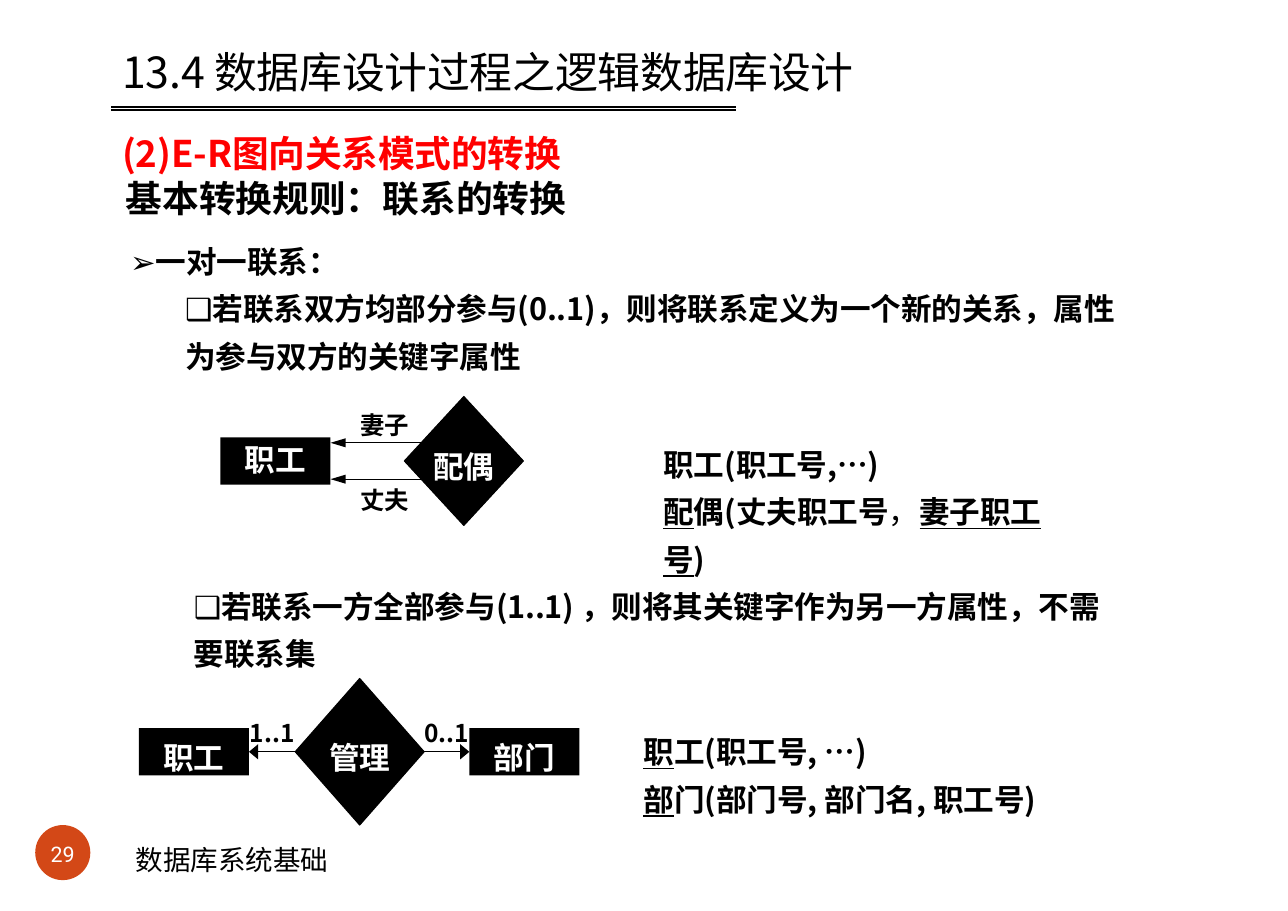
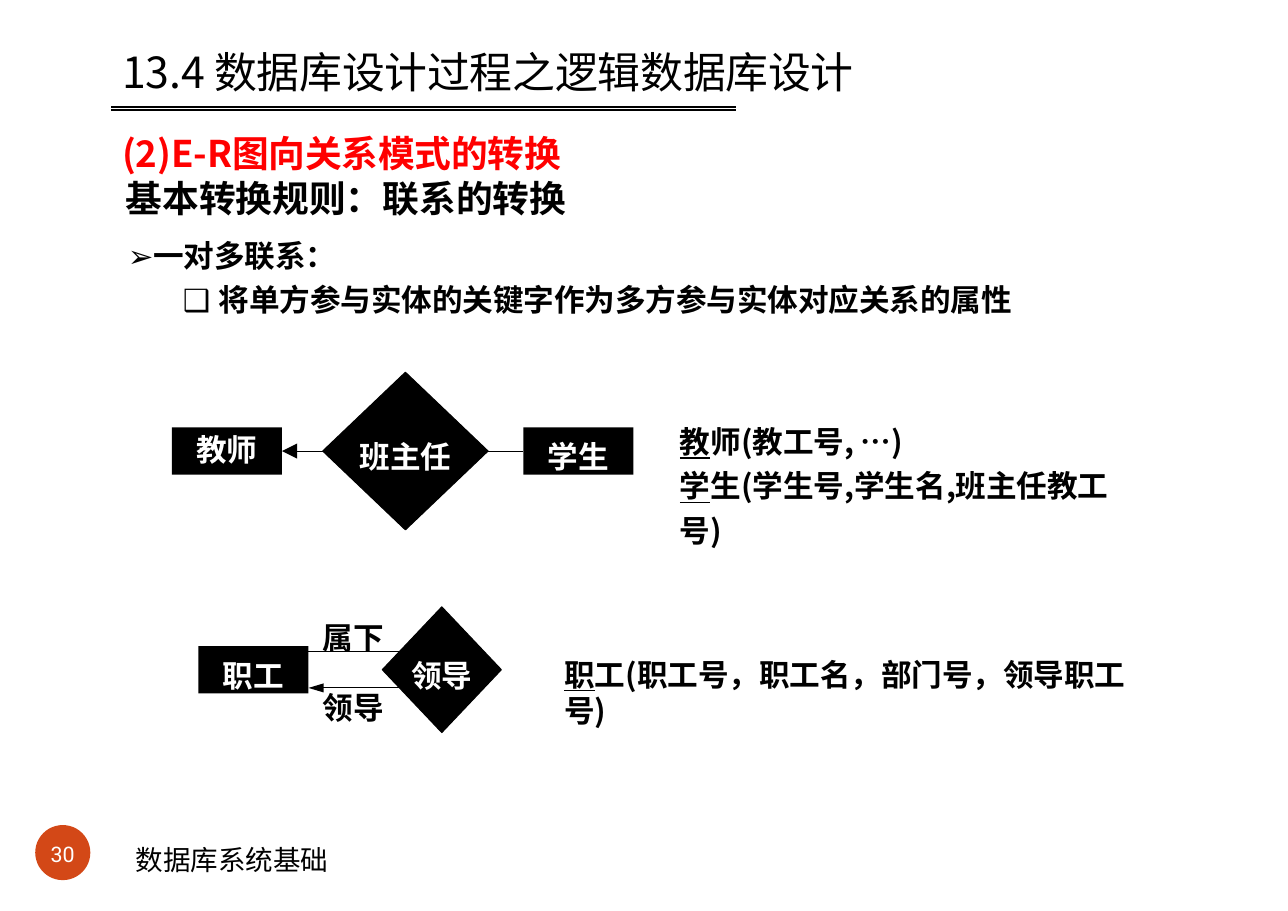
from lxml import etree
from pptx import Presentation
from pptx.dml.color import RGBColor
from pptx.enum.shapes import MSO_CONNECTOR, MSO_SHAPE
from pptx.enum.text import MSO_ANCHOR, MSO_AUTO_SIZE, PP_ALIGN
from pptx.oxml.ns import qn
from pptx.util import Inches, Pt

RECTANGLE, DIAMOND, OVAL = MSO_SHAPE.RECTANGLE, MSO_SHAPE.DIAMOND, MSO_SHAPE.OVAL
STRAIGHT = MSO_CONNECTOR.STRAIGHT
TOP, MIDDLE = MSO_ANCHOR.TOP, MSO_ANCHOR.MIDDLE
LEFT, CENTER = PP_ALIGN.LEFT, PP_ALIGN.CENTER
NO_FIT = MSO_AUTO_SIZE.NONE
LEFT_SIDE, RIGHT_SIDE = 1, 3

BLACK = RGBColor(0x00, 0x00, 0x00)
WHITE = RGBColor(0xFF, 0xFF, 0xFF)
RED = RGBColor(0xFF, 0x00, 0x00)
ORANGE = RGBColor(0xD3, 0x48, 0x17)

SLIDE_W, SLIDE_H = 11.69, 8.27
FIRST_NUMBER = 29
ENTITY_W, ENTITY_H = 1, 0.43
LINE_RISE = 0.165
LINE_RATIO = 1.34

BODY = dict(name="Noto Sans CJK SC", size=20, bold=True, color=BLACK, spc=-10)
KEY = dict(underline=True)
LIGHT = dict(bold=False)
MARK = dict(name="Arial", bold=False)
HEADING = dict(size=24, spc=0)
TITLE = dict(name="Noto Sans CJK TC", size=28, bold=False)
SUBTITLE = dict(name="Noto Sans CJK TC", size=24, color=RED)
FOOTER = dict(name="Calibri", size=18, bold=False, spc=0)
BADGE = dict(name="Roboto", size=14, bold=False, color=WHITE, spc=0)
NODE = dict(color=WHITE)


def add_span(para, text, style):
    values = {**BODY, **style}
    span = para.add_run()
    span.text = text
    span.font.color.rgb = values.pop("color")
    values["size"] = Pt(values["size"])
    properties = span._r.get_or_add_rPr()
    properties.set("spc", str(values.pop("spc")))
    for name, value in values.items():
        setattr(span.font, name, value)
    for tag in ("a:ea", "a:sym"):
        etree.SubElement(properties, qn(tag)).set("typeface", values["name"])


def line(*spans, pitch=None, before=0, indent=0):
    pairs = [(span, {}) if isinstance(span, str) else span for span in spans]
    if pitch is None:
        size = max({**BODY, **style}["size"] for text, style in pairs)
        pitch = round(size * LINE_RATIO)
    return pairs, pitch, before, indent


def write(shape, lines, align=LEFT, **options):
    frame = shape.text_frame
    settings = dict(margin_left=0, margin_right=0, margin_top=0, margin_bottom=0,
                    word_wrap=True, auto_size=NO_FIT, vertical_anchor=TOP)
    for name, value in {**settings, **options}.items():
        setattr(frame, name, value)
    for index, (spans, pitch, before, indent) in enumerate(lines):
        para = frame.add_paragraph() if index else frame.paragraphs[0]
        spacing = dict(alignment=align, line_spacing=Pt(pitch),
                       space_before=Pt(before), space_after=Pt(0))
        for name, value in spacing.items():
            setattr(para, name, value)
        properties = para._p.get_or_add_pPr()
        properties.set("marL", str(Inches(indent)))
        properties.set("indent", "0")
        etree.SubElement(properties, qn("a:buNone"))
        for text, style in spans:
            add_span(para, text, style)


def place(shape, box):
    for name, value in zip(("left", "top", "width", "height"), box):
        setattr(shape, name, Inches(value))


def add_text(page, box, lines, **options):
    shape = page.shapes.add_textbox(*map(Inches, box))
    write(shape, lines, **options)


def add_label(page, x, y, text, size):
    box = (x - 0.4, y - 0.2, 0.8, 0.4)
    add_text(page, box, [line((text, dict(size=size, spc=0)))], align=CENTER,
             vertical_anchor=MIDDLE, word_wrap=False)


def add_node(page, kind, box, text, style=NODE, fill=BLACK, drop=0.03):
    node = page.shapes.add_shape(kind, *map(Inches, box))
    node.shadow.inherit = False
    node.fill.solid()
    node.fill.fore_color.rgb = fill
    if kind == DIAMOND:
        node.line.color.rgb = BLACK
        node.line.width = Pt(0.75)
    else:
        node.line.fill.background()
    write(node, [line((text, style))], align=CENTER, vertical_anchor=MIDDLE,
          word_wrap=False, margin_top=Inches(max(2 * drop, 0)),
          margin_bottom=Inches(max(-2 * drop, 0)))
    return node


def add_line(page, start, end, width=0.75, head=None):
    link = page.shapes.add_connector(STRAIGHT, *map(Inches, start + end))
    link.line.color.rgb = BLACK
    link.line.width = Pt(width)
    if head:
        tip = etree.SubElement(link.line._get_or_add_ln(), qn("a:tailEnd"))
        for name, value in zip(("type", "w", "len"), ("triangle",) + head):
            tip.set(name, value)
    etree.SubElement(link._element.spPr, qn("a:effectLst"))
    return link


def entity_box(left, middle):
    return left, middle - ENTITY_H / 2, ENTITY_W, ENTITY_H


def chain_diagram(page, box, diamond, texts, heads, labels=(), left_drop=0.03):
    left, top, width, height = box
    offset, diamond_w = diamond
    middle, right = top + height / 2, left + width
    diamond_left = left + offset
    diamond_right = diamond_left + diamond_w
    near = add_node(page, RECTANGLE, entity_box(left, middle), texts[0], drop=left_drop)
    relation = add_node(page, DIAMOND, (diamond_left, top, diamond_w, height), texts[1])
    far = add_node(page, RECTANGLE, entity_box(right - ENTITY_W, middle), texts[2])
    gaps = [(diamond_left, left + ENTITY_W), (diamond_right, right - ENTITY_W)]
    sides = [(near, LEFT_SIDE, RIGHT_SIDE), (far, RIGHT_SIDE, LEFT_SIDE)]
    for (start, end), (entity, begin, finish), head in zip(gaps, sides, heads):
        link = add_line(page, (start, middle), (end, middle), head=head)
        link.begin_connect(relation, begin)
        link.end_connect(entity, finish)
    for (start, end), text in zip(gaps, labels):
        add_label(page, (start + end) / 2, middle - 0.19, text, 16)


def loop_diagram(page, box, texts, labels, heads, label_size, label_x, label_rise, drop=0.03):
    left, top, width, height = box
    middle, entity_right = top + height / 2, left + ENTITY_W
    diamond_w = 1.08
    for sign, head, text in zip((-1, 1), heads, labels):
        y = middle + sign * LINE_RISE
        add_line(page, (entity_right + 0.84, y), (entity_right, y), head=head)
        add_label(page, entity_right + label_x, middle + sign * label_rise, text, label_size)
    add_node(page, RECTANGLE, entity_box(left, middle), texts[0], drop=drop)
    add_node(page, DIAMOND, (left + width - diamond_w, top, diamond_w, height), texts[1])


def add_frame(page, number):
    title = page.shapes.title
    place(title, (1.11, 0.35, 0.81 * SLIDE_W, 1.2))
    write(title, [line(("13.4 数据库设计过程之逻辑数据库设计", TITLE)),
                  line(("(2)E-R图向关系模式的转换", SUBTITLE), before=19)])
    for y in (0.97, 1):
        add_line(page, (1.01, y), (6.68, y), width=1)
    add_node(page, OVAL, (0.32, 7.49, 0.5, 0.5), str(number), BADGE, ORANGE, drop=0)
    add_text(page, (1.23, 7.62, 2.35, 0.33), [line(("数据库系统基础", FOOTER))])


def add_rules(page, width, height, lines):
    body = page.placeholders[1]
    place(body, (1.13, 1.55, width, height))
    write(body, [line(("基本转换规则：联系的转换", HEADING), indent=0.01)] + lines)


def one_to_one(page):
    pitch = 31
    add_rules(page, 9.03, 1.9, [
        line(("➢", MARK), "一对一联系：", pitch=pitch, before=8, indent=0.05),
        line(("❑", MARK), "若联系双方均部分参与(0..1)，则将联系定义为一个新的关系，属性 为参与双方的关键字属性",
             pitch=pitch, indent=0.55)])
    loop_diagram(page, (2, 3.6, 2.75, 1.17), ("职工", "配偶"), ("妻子", "丈夫"),
                 [("med", "lg")] * 2, 16, 0.49, 0.34, drop=-0.04)
    add_text(page, (6.02, 3.95, 3.75, 1.3), [
        line("职工(职工号,…)", pitch=pitch),
        line(("配", KEY), "偶(丈夫职工号", ("，", LIGHT), ("妻子职工号", KEY), ")", pitch=pitch)])
    add_text(page, (1.76, 5.24, 8.28, 0.86), [
        line(("❑", MARK), "若联系一方全部参与(1..1) ，则将其关键字作为另一方属性，不需要联系集", pitch=pitch)])
    chain_diagram(page, (1.26, 6.16, 4, 1.33), (1.42, 1.17), ("职工", "管理", "部门"),
                  [("lg", "med")] * 2, ("1..1", "0..1"))
    add_text(page, (5.84, 6.56, 3.7, 1.3), [
        line(("职", KEY), "工(职工号, …)", pitch=pitch),
        line(("部", KEY), "门(部门号, 部门名, 职工号)", pitch=pitch)])


def one_to_many(page):
    pitch = 29
    add_rules(page, 8.6, 1.4, [
        line(("➢", MARK), "一对多联系：", pitch=pitch, before=6, indent=0.03),
        line(("❑ ", MARK), "将单方参与实体的关键字作为多方参与实体对应关系的属性", pitch=pitch, indent=0.53)])
    chain_diagram(page, (1.56, 3.38, 4.19, 1.43), (1.37, 1.5), ("教师", "班主任", "学生"),
                  [("lg", "lg"), None], left_drop=-0.04)
    add_text(page, (6.17, 3.77, 4.15, 1.21), [
        line(("教", KEY), "师(教工号, …)", pitch=pitch),
        line(("学", KEY), "生(学生号,学生名,班主任教工号)", pitch=pitch)])
    loop_diagram(page, (1.8, 5.51, 2.75, 1.14), ("职工", "领导"), ("属下", "领导"),
                 [None, ("med", "lg")], 20, 0.41, 0.32)
    add_text(page, (5.12, 5.95, 5.38, 0.67), [
        line(("职", KEY), "工(职工号，职工名，部门号，领导职工号)", pitch=24)])


def main():
    deck = Presentation()
    deck.slide_width, deck.slide_height = Inches(SLIDE_W), Inches(SLIDE_H)
    for number, build in enumerate((one_to_one, one_to_many), FIRST_NUMBER):
        page = deck.slides.add_slide(deck.slide_layouts[1])
        add_frame(page, number)
        build(page)
    deck.save("out.pptx")


if __name__ == "__main__":
    main()
